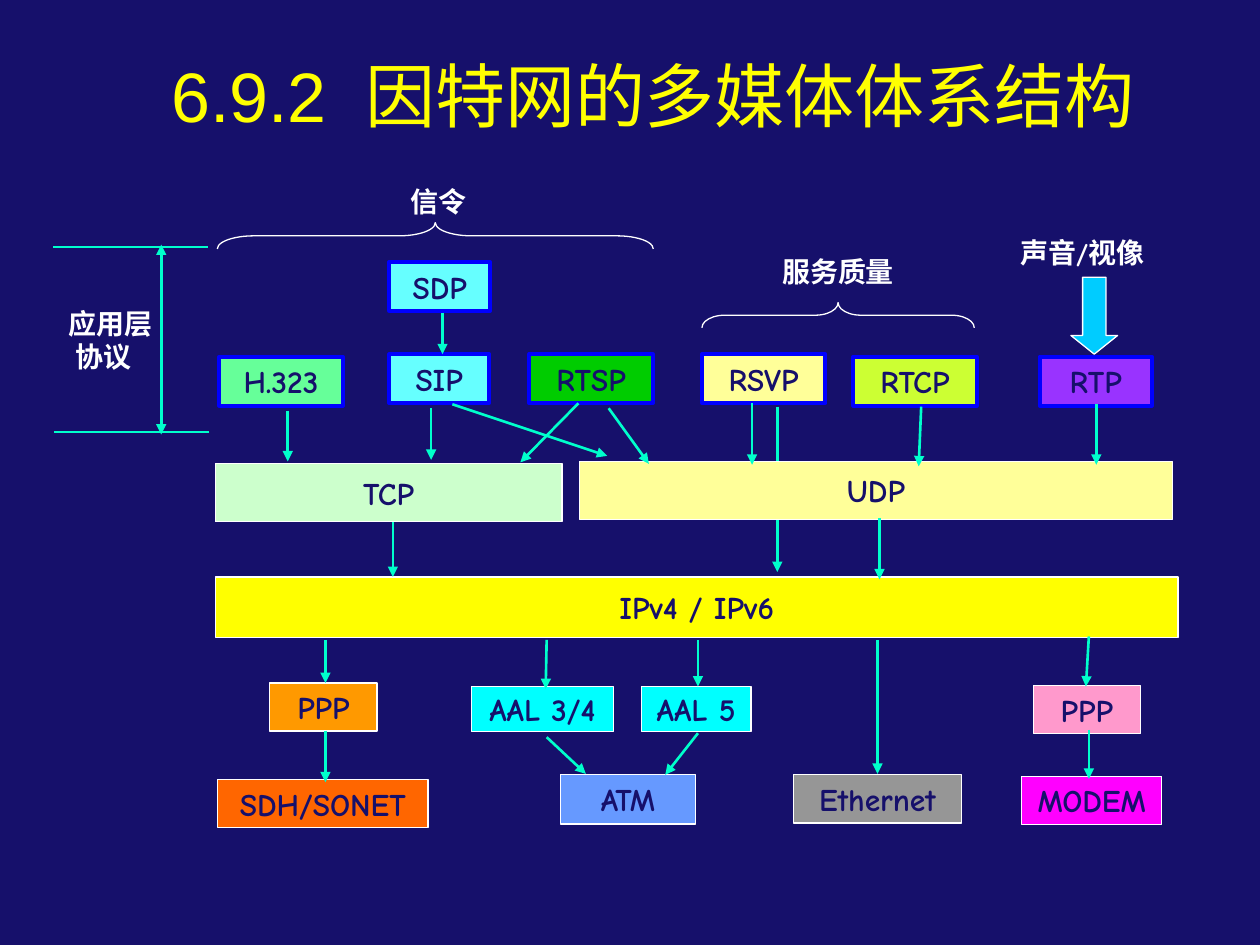
from lxml.etree import SubElement
from pptx import Presentation
from pptx.dml.color import RGBColor
from pptx.enum.shapes import MSO_CONNECTOR as Link, MSO_SHAPE as Shape
from pptx.enum.text import MSO_ANCHOR as Anchor, MSO_AUTO_SIZE as Fit, PP_ALIGN as Align
from pptx.oxml.ns import qn
from pptx.util import Cm, Pt

NAVY, WHITE, YELLOW = "16106B", "FFFFFF", "FFFF01"
MINT, BLUE = "00FFCC", "0000FF"


def color(hex_text):
    return RGBColor.from_string(hex_text)


def lengths(values):
    return [Cm(value) for value in values]


class Diagram:
    """Holds the look of the diagram and the page it is drawn on."""

    title_font, body_font = "Arial", "Comic Neue"
    title_size, box_size, label_size = 40, 18, 16

    def __init__(self, page):
        self.page = page
        page.background.fill.solid()
        page.background.fill.fore_color.rgb = color(NAVY)

    def span(self, para, text, font, size, ink, bold):
        span = para.add_run()
        span.text = text
        span.font.name, span.font.size, span.font.bold = font, Pt(size), bold
        span.font.color.rgb = color(ink)
        return span

    def title(self, number, text, place, gap):
        title = self.page.shapes.title
        title.left, title.top, title.width, title.height = lengths(place)
        frame = title.text_frame
        frame.vertical_anchor, frame.word_wrap = Anchor.MIDDLE, True
        frame.auto_size = Fit.NONE
        para = frame.paragraphs[0]
        para.alignment = Align.CENTER
        spans = [self.span(para, part, self.title_font, self.title_size, YELLOW, False)
                 for part in (number, " ", text)]
        # Letter spacing widens the gap after the number
        spans[1].font._element.set("spc", str(gap * 100))

    def shape(self, kind, place, fill=None, edge=WHITE, width=0.75, adjust=()):
        shape = self.page.shapes.add_shape(kind, *lengths(place))
        shape.shadow.inherit = False
        if fill:
            shape.fill.solid()
            shape.fill.fore_color.rgb = color(fill)
        else:
            shape.fill.background()
        shape.line.color.rgb, shape.line.width = color(edge), Pt(width)
        for index, value in enumerate(adjust):
            shape.adjustments[index] = value
        return shape

    def box(self, text, place, fill, edge=WHITE, width=0.75):
        frame = self.shape(Shape.RECTANGLE, place, fill, edge, width).text_frame
        frame.word_wrap, frame.vertical_anchor = False, Anchor.MIDDLE
        para = frame.paragraphs[0]
        para.alignment = Align.CENTER
        self.span(para, text, self.body_font, self.box_size, NAVY, True)

    def brace(self, place, curve):
        self.shape(Shape.LEFT_BRACE, place, adjust=(curve, 0.5)).rotation = 90

    def label(self, lines, place):
        frame = self.page.shapes.add_textbox(*lengths(place)).text_frame
        frame.word_wrap, frame.auto_size = False, Fit.NONE
        for index, text in enumerate(lines):
            para = frame.add_paragraph() if index else frame.paragraphs[0]
            para.alignment = Align.LEFT
            self.span(para, text, self.body_font, self.label_size, WHITE, True)

    def line(self, ends, tips=("tailEnd",)):
        line = self.page.shapes.add_connector(Link.STRAIGHT, *lengths(ends))
        line.line.color.rgb, line.line.width = color(MINT), Pt(1.5)
        outline = line.line._get_or_add_ln()
        for tip in tips:
            SubElement(outline, qn("a:" + tip), type="triangle")
        SubElement(line._element.spPr, qn("a:effectLst"))


def main():
    deck = Presentation()
    deck.slide_width, deck.slide_height = Cm(25.4), Cm(19.05)
    diagram = Diagram(deck.slides.add_slide(deck.slide_layouts[5]))
    diagram.title("6.9.2", "因特网的多媒体体系结构", (2.34, 0.84, 21.64, 2.13), gap=11)

    # RSVP reaches IP behind the UDP box
    diagram.line((15.67, 8.2, 15.67, 11.53))

    # Network, link and transport layers
    for text, place, fill in (
        ("IPv4 / IPv6", (4.34, 11.63, 19.41, 1.22), "FFFF00"),
        ("PPP", (5.44, 13.77, 2.16, 0.97), "FF9900"),
        ("SDH/SONET", (4.39, 15.72, 4.24, 0.97), "FF6600"),
        ("AAL 3/4", (9.5, 13.84, 2.87, 0.91), "00FFFF"),
        ("AAL 5", (12.93, 13.84, 2.21, 0.91), "00FFFF"),
        ("ATM", (11.3, 15.62, 2.72, 0.99), "6699FF"),
        ("Ethernet", (16, 15.62, 3.38, 0.97), "969696"),
        ("PPP", (20.83, 13.82, 2.16, 0.97), "FF99CC"),
        ("MODEM", (20.6, 15.65, 2.82, 0.97), "FF00FF"),
        ("TCP", (4.34, 9.35, 6.99, 1.17), "CCFFCC"),
        ("UDP", (11.68, 9.3, 11.96, 1.17), "FFFF99"),
    ):
        diagram.box(text, place, fill)

    # Application protocols: left, top, width
    for text, left, top, width, fill in (
        ("H.323", 4.42, 7.19, 2.49, "66FF99"),
        ("SIP", 7.85, 7.14, 2.01, "66FFFF"),
        ("SDP", 7.85, 5.28, 2.03, "66FFFF"),
        ("RTSP", 10.67, 7.14, 2.49, "00CC00"),
        ("RSVP", 14.15, 7.14, 2.49, "FFFF99"),
        ("RTCP", 17.2, 7.19, 2.49, "CCFF33"),
        ("RTP", 20.96, 7.19, 2.26, "9933FF"),
    ):
        diagram.box(text, (left, top, width, 0.99), fill, BLUE, 2.25)

    # Media arrow, braces and group labels
    diagram.shape(Shape.DOWN_ARROW, (21.59, 5.59, 0.94, 1.55), "00CCFF", adjust=(0.5, 0.4))
    diagram.brace((16.64, 3.61, 0.51, 5.49), 0.9)
    diagram.brace((8.51, 0.36, 0.53, 8.79), 1.38)
    diagram.label(["声音/视像"], (20.32, 4.62, 3.45, 0.94))
    diagram.label(["服务质量"], (15.52, 5, 2.95, 0.94))
    diagram.label(["信令"], (8.03, 3.6, 1.8, 0.94))

    # Extent of the application layer
    diagram.line((4.22, 8.71, 1.09, 8.71), tips=())
    diagram.line((4.19, 4.98, 1.07, 4.98), tips=())
    diagram.line((3.25, 4.93, 3.25, 8.76), tips=("headEnd", "tailEnd"))
    diagram.label(["应用层", " 协议"], (1.14, 6.05, 2.4, 1.63))

    # Straight drops: x, from, to
    for x, start, end in (
        (8.92, 6.3, 7.14), (5.8, 8.28, 9.3), (8.69, 8.23, 9.27),
        (7.92, 10.52, 11.63), (6.56, 12.9, 13.77), (6.56, 14.73, 15.77),
        (14.07, 12.9, 13.84), (17.69, 12.9, 15.6), (21.95, 14.71, 15.7),
        (17.73, 10.44, 11.68), (22.1, 8.15, 9.37), (15.16, 8.13, 9.37),
    ):
        diagram.line((x, start, x, end))

    # Slanted arrows
    for ends in (
        (11.02, 12.9, 11, 13.89), (11.02, 14.86, 11.81, 15.6),
        (14.07, 14.78, 13.41, 15.62), (21.95, 12.83, 21.89, 13.84),
        (18.57, 8.2, 18.52, 9.4), (9.12, 8.15, 12.24, 9.19),
        (12.27, 8.23, 13.08, 9.35), (11.66, 8.13, 10.49, 9.32),
    ):
        diagram.line(ends)

    deck.save("out.pptx")


if __name__ == "__main__":
    main()
